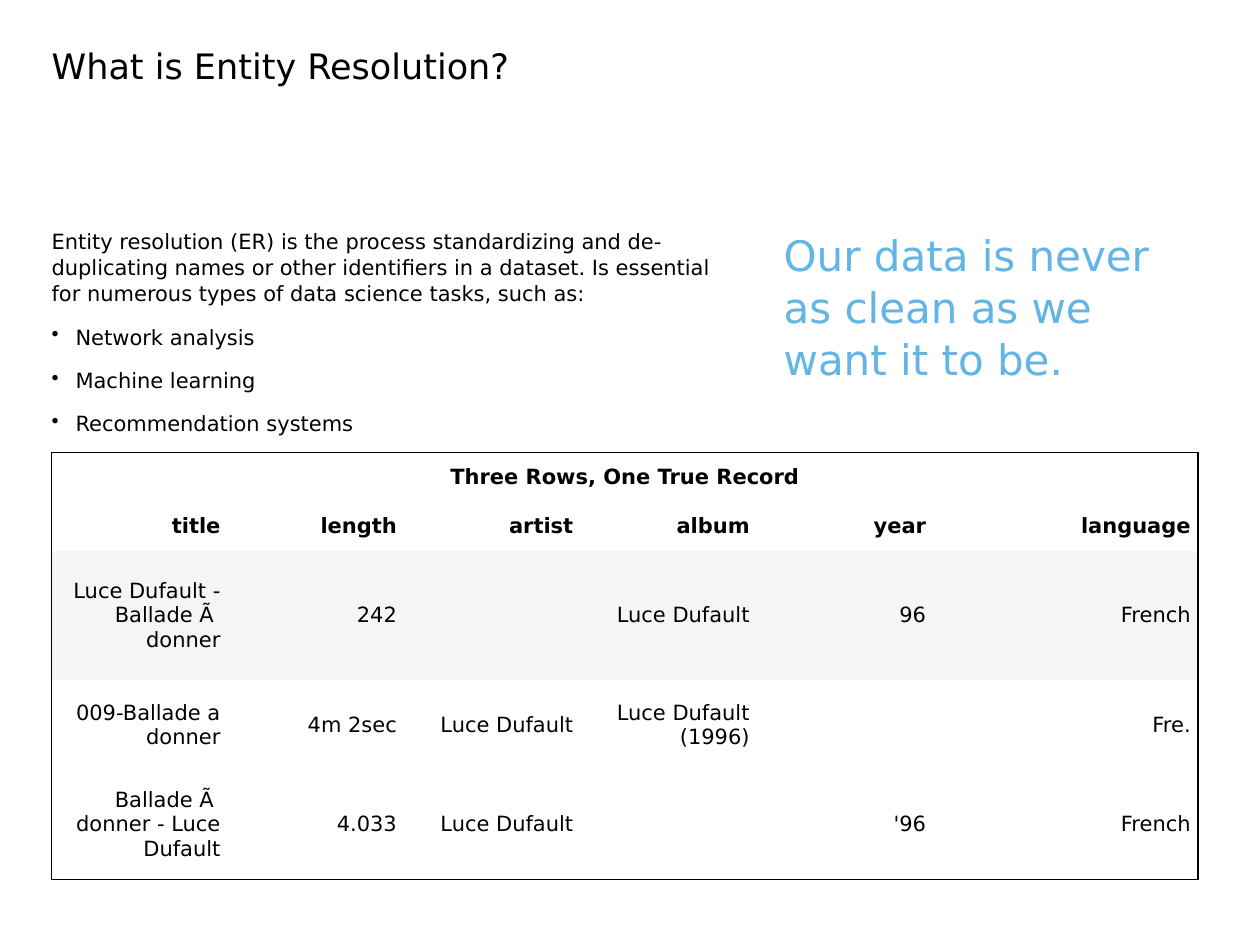
import pptx
import pptx.util
import pptx.dml.color
import pptx.enum.text
import pptx.oxml
import pptx.oxml.ns
from lxml import etree

Inches, Pt = pptx.util.Inches, pptx.util.Pt
RGBColor = pptx.dml.color.RGBColor
ALIGN = pptx.enum.text.PP_ALIGN
MIDDLE = pptx.enum.text.MSO_ANCHOR.MIDDLE
qn = pptx.oxml.ns.qn

FONT = "DejaVu Sans"
BLACK = RGBColor(0x00, 0x00, 0x00)
BLUE = RGBColor(0x62, 0xB5, 0xE5)
GREY = RGBColor(0xF5, 0xF5, 0xF5)
NO_STYLE = "{2D5ABB26-0587-4C30-8999-92F81FD0307C}"


def add_text(p, text, size=12, color=BLACK, bold=False):
    """Add one formatted run to a paragraph."""
    r = p.add_run()
    r.text = text
    for name, value in {"name": FONT, "size": Pt(size), "bold": bold}.items():
        setattr(r.font, name, value)
    r.font.color.rgb = color


def add_border(tc_pr, side):
    """Draw a 1 pt black line on one side of a cell, or none."""
    tag, shown = side
    ln = etree.SubElement(tc_pr, qn("a:" + tag), w=str(Pt(1)))
    if shown:
        fill = etree.SubElement(ln, qn("a:solidFill"))
        etree.SubElement(fill, qn("a:srgbClr"), val=str(BLACK))
    else:
        etree.SubElement(ln, qn("a:noFill"))


prs = pptx.Presentation()
prs.slide_width, prs.slide_height = Inches(10), Inches(7.5)
s = prs.slides.add_slide(prs.slide_layouts[6])

# Text blocks: position, size, colour, paragraph spacing, line spacing, paragraphs
blocks = [
    ((0.41, 0.35, 9.18, 0.37), 20, BLACK, 0, 1.0, ["What is Entity Resolution?"]),
    ((6.22, 1.81, 3.37, 5.17), 24, BLUE, 10, 1.03,
     ["Our data is never as clean as we want it to be."]),
    ((0.41, 1.81, 5.43, 2.53), 12, BLACK, 10, 1.03,
     ["Entity resolution (ER) is the process standardizing and de-duplicating "
      "names or other identifiers in a dataset. Is essential for numerous types "
      "of data science tasks, such as:",
      "Network analysis", "Machine learning", "Recommendation systems"]),
]
for box, size, color, after, spacing, lines in blocks:
    tf = s.shapes.add_textbox(*map(Inches, box)).text_frame
    tf.word_wrap = True
    for side in ("left", "right", "top", "bottom"):
        setattr(tf, "margin_" + side, 0)
    for i, line in enumerate(lines):
        p = tf.add_paragraph() if i else tf.paragraphs[0]
        p.space_after = Pt(after)
        p.line_spacing = spacing
        add_text(p, line, size, color)
        if i:
            p_pr = p._p.get_or_add_pPr()
            p_pr.set("marL", str(Inches(0.19)))
            p_pr.set("indent", str(-Inches(0.19)))
            etree.SubElement(p_pr, qn("a:buChar"), char="•")

# Record table
records = [
    ["Three Rows, One True Record", "", "", "", "", ""],
    ["title", "length", "artist", "album", "year", "language"],
    ["Luce Dufault - Ballade Ã\u00a0 donner", "242", "", "Luce Dufault", "96", "French"],
    ["009-Ballade a donner", "4m 2sec", "Luce Dufault", "Luce Dufault (1996)", "", "Fre."],
    ["Ballade Ã\u00a0 donner - Luce Dufault", "4.033", "Luce Dufault", "", "'96", "French"],
]
widths = [1.4] * 5 + [2.1]
heights = [0.39, 0.39, 1.03, 0.71, 0.87]
last_row, last_col = len(heights) - 1, len(widths) - 1
frame = s.shapes.add_table(len(heights), len(widths), Inches(0.41), Inches(3.59),
                           Inches(sum(widths)), Inches(sum(heights)))
table = frame.table
table.first_row = table.horz_banding = False
for style in frame._element.iter(qn("a:tableStyleId")):
    style.text = NO_STYLE
for col, width in zip(table.columns, widths):
    col.width = Inches(width)
for row, height in zip(table.rows, heights):
    row.height = Inches(height)
table.cell(0, 0).merge(table.cell(0, last_col))

for i, record in enumerate(records):
    for j, text in enumerate(record):
        cell = table.cell(i, j)
        tc_pr = cell._tc.get_or_add_tcPr()
        right = j == last_col or i == 0
        for side in (("lnL", j == 0), ("lnR", right), ("lnT", i == 0), ("lnB", i == last_row)):
            add_border(tc_pr, side)
        if i == 2:
            cell.fill.solid()
            cell.fill.fore_color.rgb = GREY
        else:
            cell.fill.background()
        if text:
            cell.vertical_anchor = MIDDLE
            for side in ("left", "right", "top", "bottom"):
                setattr(cell, "margin_" + side, Inches(0.06))
            p = cell.text_frame.paragraphs[0]
            p.alignment = ALIGN.RIGHT if i else ALIGN.CENTER
            add_text(p, text, bold=i < 2)

prs.save("out.pptx")
